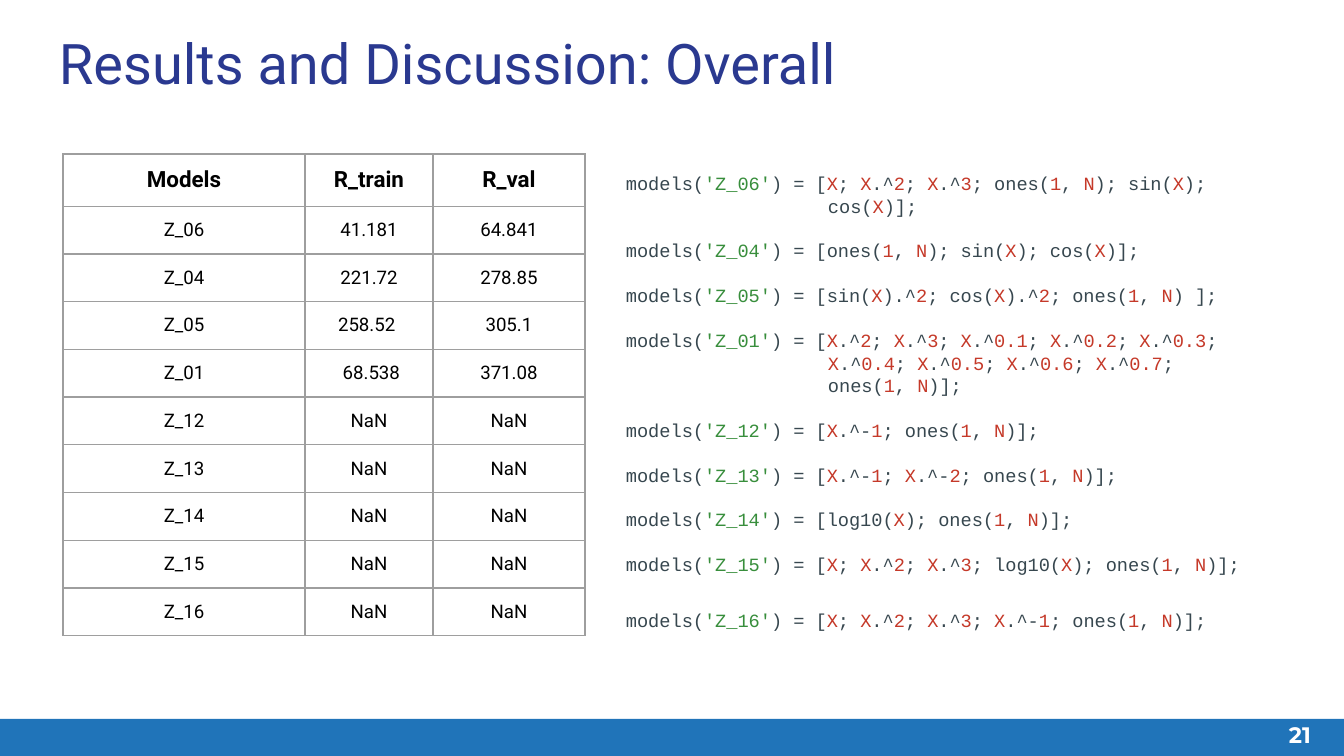
import itertools

import pptx
import pptx.dml.color
import pptx.enum.shapes
import pptx.enum.text
import pptx.oxml
import pptx.oxml.ns
import pptx.util

RGB = pptx.dml.color.RGBColor
ALIGN = pptx.enum.text.PP_ALIGN
ANCHOR = pptx.enum.text.MSO_ANCHOR

BLUE = RGB(0x20, 0x74, 0xB9)
NAVY = RGB(0x2A, 0x39, 0x90)
WHITE = RGB(0xFF, 0xFF, 0xFF)
BLACK = RGB(0, 0, 0)
GRID = RGB(0x9E, 0x9E, 0x9E)
SLATE = RGB(0x37, 0x47, 0x4F)
GREEN = RGB(0x38, 0x8E, 0x3C)
RED = RGB(0xC5, 0x39, 0x29)

EMU_PER_PX = 9144000 / 1344
INSET = 13


def px(length):
    return pptx.util.Emu(round(length * EMU_PER_PX))


def set_up_text(box, anchor=ANCHOR.TOP):
    frame = box.text_frame
    frame.word_wrap = True
    frame.auto_size = pptx.enum.text.MSO_AUTO_SIZE.NONE
    frame.vertical_anchor = anchor
    frame.margin_left = frame.margin_right = px(INSET)
    frame.margin_top = frame.margin_bottom = px(INSET)
    return frame


deck = pptx.Presentation()
deck.slide_width, deck.slide_height = px(1344), px(756)
page = deck.slides.add_slide(deck.slide_layouts[5])

# Footer bar and page number
bar = page.shapes.add_shape(
    pptx.enum.shapes.MSO_SHAPE.RECTANGLE, px(0), px(719), px(1344), px(37))
bar.shadow.inherit = False
bar.fill.solid()
bar.fill.fore_color.rgb = BLUE
bar.line.fill.background()

number_box = page.shapes.add_textbox(px(1243), px(706), px(81), px(58))
para = set_up_text(number_box, ANCHOR.MIDDLE).paragraphs[0]
para.text = "21"
para.alignment = ALIGN.RIGHT
para.font.name, para.font.size, para.font.bold = "Montserrat", pptx.util.Pt(12), True
para.font.color.rgb = WHITE

# Title
title = page.shapes.title
title.left, title.top, title.width, title.height = px(46), px(16), px(1252), px(89)
para = set_up_text(title).paragraphs[0]
para.text = "Results and Discussion: Overall"
para.alignment = ALIGN.LEFT
para.font.name, para.font.size = "Roboto", pptx.util.Pt(30)
para.font.color.rgb = NAVY

# Results table
results = [
    ("Models", "R_train", "R_val"),
    ("Z_06", "41.181", "64.841"),
    ("Z_04", "221.72", "278.85"),
    ("Z_05", "258.52 ", "305.1"),
    ("Z_01", " 68.538", "371.08"),
]
results += [(f"Z_{number}", "NaN", "NaN") for number in range(12, 17)]

table = page.shapes.add_table(
    len(results), 3, px(63), px(154), px(522), px(474)).table
table.first_row = table.horz_banding = False
for column, width in zip(table.columns, (242, 128, 152)):
    column.width = px(width)

for row_index, values in enumerate(results):
    is_header = row_index == 0
    table.rows[row_index].height = px(51 if is_header else 47)
    for column_index, value in enumerate(values):
        cell = table.cell(row_index, column_index)
        cell.margin_left = cell.margin_right = px(INSET)
        cell.margin_top = cell.margin_bottom = px(INSET)
        para = cell.text_frame.paragraphs[0]
        para.text = value
        para.alignment = ALIGN.CENTER
        para.font.name, para.font.bold = "Roboto", is_header
        para.font.size = pptx.util.Pt(12 if is_header else 10)
        para.font.color.rgb = BLACK
        properties = cell._tc.get_or_add_tcPr()
        for side in ("lnL", "lnR", "lnT", "lnB"):
            properties.append(pptx.oxml.parse_xml(
                f'<a:{side} {pptx.oxml.ns.nsdecls("a")} w="9525"><a:solidFill>'
                f'<a:srgbClr val="{GRID}"/></a:solidFill></a:{side}>'))
        cell.fill.background()

# Model definitions: continuation lines start under the first term
formulas = [
    "models('Z_06') = [X; X.^2; X.^3; ones(1, N); sin(X); cos(X)];",
    "models('Z_04') = [ones(1, N); sin(X); cos(X)];",
    "models('Z_05') = [sin(X).^2; cos(X).^2; ones(1, N) ];",
    "models('Z_01') = [X.^2; X.^3; X.^0.1; X.^0.2; X.^0.3; "
    "X.^0.4; X.^0.5; X.^0.6; X.^0.7;",
    "ones(1, N)];",
    "models('Z_12') = [X.^-1; ones(1, N)];",
    "models('Z_13') = [X.^-1; X.^-2; ones(1, N)];",
    "models('Z_14') = [log10(X); ones(1, N)];",
    "models('Z_15') = [X; X.^2; X.^3; log10(X); ones(1, N)];",
    "models('Z_16') = [X; X.^2; X.^3; X.^-1; ones(1, N)];",
]
code_box = page.shapes.add_textbox(px(613), px(159), px(679), px(515))
frame = set_up_text(code_box)
for index, formula in enumerate(formulas):
    is_new_model = formula.startswith("models")
    para = frame.paragraphs[0] if index == 0 else frame.add_paragraph()
    para.font.name, para.font.size = "Courier New", pptx.util.Pt(10)
    para.line_spacing = 1.5 if index == len(formulas) - 1 else 1.0
    para.space_before = pptx.util.Pt(12 if is_new_model and index else 0)
    indents = para._p.get_or_add_pPr()
    indents.set("marL", str(px(202)))
    indents.set("indent", str(px(-202 if is_new_model else 0)))

    # Quoted names are green; variables and numbers outside names are red
    colors = []
    for place, letter in enumerate(formula):
        before = formula[:place].rstrip("0123456789.")
        is_number = letter.isdigit() or (
            letter == "." and formula[place + 1].isdigit())
        if letter == "'" or formula[:place].count("'") == 1:
            colors.append(GREEN)
        elif letter in "XN" or (is_number and not before[-1:].isalpha()):
            colors.append(RED)
        else:
            colors.append(SLATE)
    for color, group in itertools.groupby(zip(colors, formula), lambda pair: pair[0]):
        span = para.add_run()
        span.text = "".join(letter for _, letter in group)
        span.font.color.rgb = color

deck.save("out.pptx")
